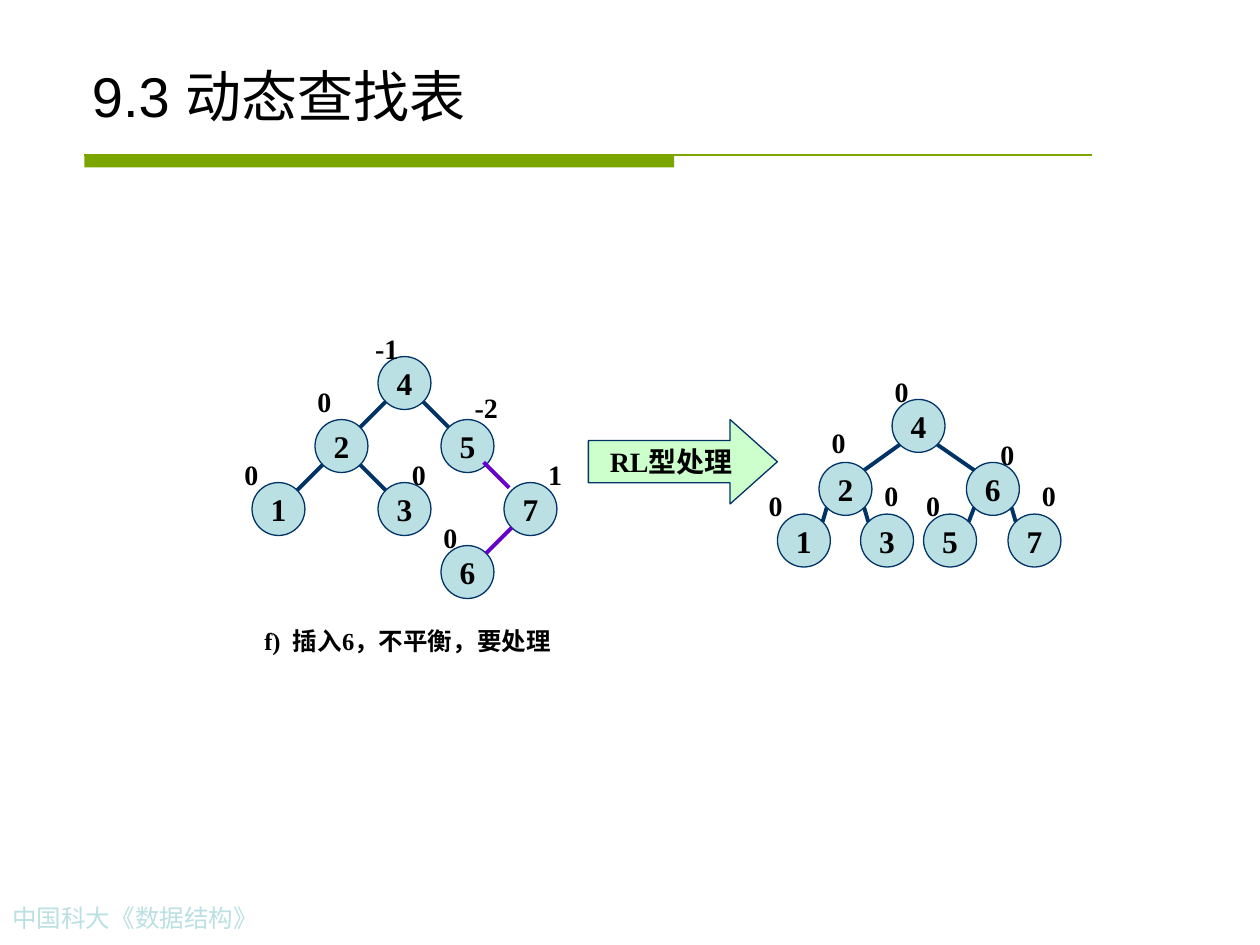
"""Build the slide on rebalancing a search tree with an RL rotation."""
from dataclasses import dataclass
from math import copysign, sqrt
from typing import Optional

from lxml.etree import SubElement
from pptx import Presentation
from pptx.dml.color import RGBColor
from pptx.enum.shapes import MSO_CONNECTOR, MSO_SHAPE
from pptx.enum.text import MSO_ANCHOR, MSO_AUTO_SIZE, PP_ALIGN
from pptx.oxml.ns import qn
from pptx.shapes.autoshape import Shape
from pptx.shapes.group import GroupShape
from pptx.text.text import TextFrame
from pptx.util import Inches, Pt

GREEN = RGBColor(0x7B, 0xA6, 0x00)
PALE_BLUE = RGBColor(0xBB, 0xE0, 0xE3)
NAVY = RGBColor(0x00, 0x33, 0x66)
PURPLE = RGBColor(0x66, 0x00, 0xCC)
PALE_GREEN = RGBColor(0xCC, 0xFF, 0xCC)
BLACK = RGBColor(0x00, 0x00, 0x00)

DIAMETER = 0.42
TITLE_FONT = {"name": "Arial", "size": Pt(32), "bold": False}
FOOTER_FONT = {"name": "Times New Roman", "size": Pt(14), "bold": False}
CAPTION_FONT = {"name": "Times New Roman", "size": Pt(14), "bold": True}
LABEL_FONT = {"name": "Times New Roman", "size": Pt(16), "bold": True}
KEY_FONT = {"name": "Times New Roman", "size": Pt(18), "bold": True}


@dataclass(frozen=True)
class Node:
    key: str
    left: float
    top: float
    factor: str
    factor_left: float
    factor_top: float
    parent: Optional[str] = None
    edge_colour: RGBColor = NAVY
    edge_nudge: float = 0


UNBALANCED = [
    Node("4", 3, 2.83, "-1", 2.88, 2.58),
    Node("2", 2.5, 3.33, "0", 2.42, 3, "4"),
    Node("5", 3.5, 3.33, "-2", 3.67, 3.05, "4"),
    Node("1", 2, 3.83, "0", 1.84, 3.58, "2"),
    Node("3", 3, 3.83, "0", 3.17, 3.58, "2"),
    Node("7", 4, 3.83, "1", 4.25, 3.58, "5", PURPLE, -0.02),
    Node("6", 3.5, 4.33, "0", 3.42, 4.08, "7", PURPLE),
]
BALANCED = [
    Node("4", 7.08, 3.17, "0", 7, 2.92),
    Node("2", 6.5, 3.67, "0", 6.5, 3.33, "4"),
    Node("6", 7.67, 3.67, "0", 7.84, 3.42, "4"),
    Node("1", 6.17, 4.08, "0", 6, 3.83, "2"),
    Node("3", 6.83, 4.08, "0", 6.92, 3.75, "2"),
    Node("5", 7.33, 4.08, "0", 7.25, 3.83, "6"),
    Node("7", 8, 4.08, "0", 8.17, 3.75, "6"),
]


def write(frame: TextFrame, text: str, font: dict, colour: RGBColor = BLACK,
          align: PP_ALIGN = PP_ALIGN.CENTER, wrap: bool = False) -> None:
    frame.word_wrap = wrap
    if not wrap:
        frame.margin_left = frame.margin_right = 0
    paragraph = frame.paragraphs[0]
    paragraph.alignment = align
    run = paragraph.add_run()
    run.text = text
    for attribute, value in font.items():
        setattr(run.font, attribute, value)
    run.font.color.rgb = colour


def add_label(shapes, box: tuple, text: str, font: dict, **style) -> None:
    label = shapes.add_textbox(*map(Inches, box))
    write(label.text_frame, text, font, **style)
    label.text_frame.auto_size = MSO_AUTO_SIZE.SHAPE_TO_FIT_TEXT


def add_outlined(shapes, preset: MSO_SHAPE, box: tuple, fill: RGBColor,
                 text: str, font: dict) -> Shape:
    outlined = shapes.add_shape(preset, *map(Inches, box))
    outlined.shadow.inherit = False
    outlined.fill.solid()
    outlined.fill.fore_color.rgb = fill
    outlined.line.color.rgb = NAVY
    outlined.line.width = Pt(0.75)
    outlined.text_frame.vertical_anchor = MSO_ANCHOR.MIDDLE
    write(outlined.text_frame, text, font)
    return outlined


def add_line(shapes, ends: tuple, colour: RGBColor, width: float) -> None:
    line = shapes.add_connector(MSO_CONNECTOR.STRAIGHT, *map(Inches, ends))
    line.line.color.rgb = colour
    line.line.width = Pt(width)
    SubElement(line._element.spPr, qn("a:effectLst"))


def add_edge(shapes, parent: Node, child: Node) -> None:
    radius = DIAMETER / 2
    reach = radius / sqrt(2)
    side = copysign(reach, child.left - parent.left)
    shift = radius + child.edge_nudge
    ends = (parent.left + shift + side, parent.top + shift + reach,
            child.left + shift - side, child.top + shift - reach)
    add_line(shapes, ends, child.edge_colour, 2.25)


def add_tree(group: GroupShape, nodes: list[Node]) -> None:
    by_key = {node.key: node for node in nodes}
    for node in nodes:
        add_outlined(group.shapes, MSO_SHAPE.OVAL,
                     (node.left, node.top, DIAMETER, DIAMETER),
                     PALE_BLUE, node.key, KEY_FONT)
    for node in nodes:
        if node.parent:
            add_edge(group.shapes, by_key[node.parent], node)
        width = 0.31 if len(node.factor) == 1 else 0.38
        add_label(group.shapes, (node.factor_left, node.factor_top, width, 0.37),
                  node.factor, LABEL_FONT)


def main() -> None:
    presentation = Presentation()
    presentation.slide_width, presentation.slide_height = Inches(10), Inches(7.5)
    slide = presentation.slides.add_slide(presentation.slide_layouts[5])
    shapes = slide.shapes

    title = shapes.title
    place = {"left": 0.63, "top": 0.33, "width": 8.75, "height": 0.74}
    for attribute, value in place.items():
        setattr(title, attribute, Inches(value))
    title.text_frame.vertical_anchor = MSO_ANCHOR.BOTTOM
    title.text_frame.auto_size = MSO_AUTO_SIZE.NONE
    write(title.text_frame, "9.3 动态查找表", TITLE_FONT,
          align=PP_ALIGN.LEFT, wrap=True)

    bar = shapes.add_shape(MSO_SHAPE.RECTANGLE, *map(Inches, (0.67, 1.23, 4.68, 0.1)))
    bar.shadow.inherit = False
    bar.fill.solid()
    bar.fill.fore_color.rgb = GREEN
    bar.line.fill.background()
    add_line(shapes, (0.67, 1.23, 8.67, 1.23), GREEN, 0.75)
    add_label(shapes, (0, 7.12, 3.11, 0.34), "中国科大《数据结构》", FOOTER_FONT,
              colour=PALE_BLUE, align=PP_ALIGN.LEFT, wrap=True)

    before = shapes.add_group_shape()
    add_tree(before, UNBALANCED)
    add_label(before.shapes, (1.93, 4.92, 2.61, 0.34),
              "f)  插入6，不平衡，要处理", CAPTION_FONT)

    after = shapes.add_group_shape()
    arrow = add_outlined(after.shapes, MSO_SHAPE.RIGHT_ARROW, (4.67, 3.33, 1.5, 0.67),
                         PALE_GREEN, "RL型处理", LABEL_FONT)
    arrow.adjustments[0], arrow.adjustments[1] = 0.5, 0.56
    add_tree(after, BALANCED)

    presentation.save("out.pptx")


if __name__ == "__main__":
    main()
